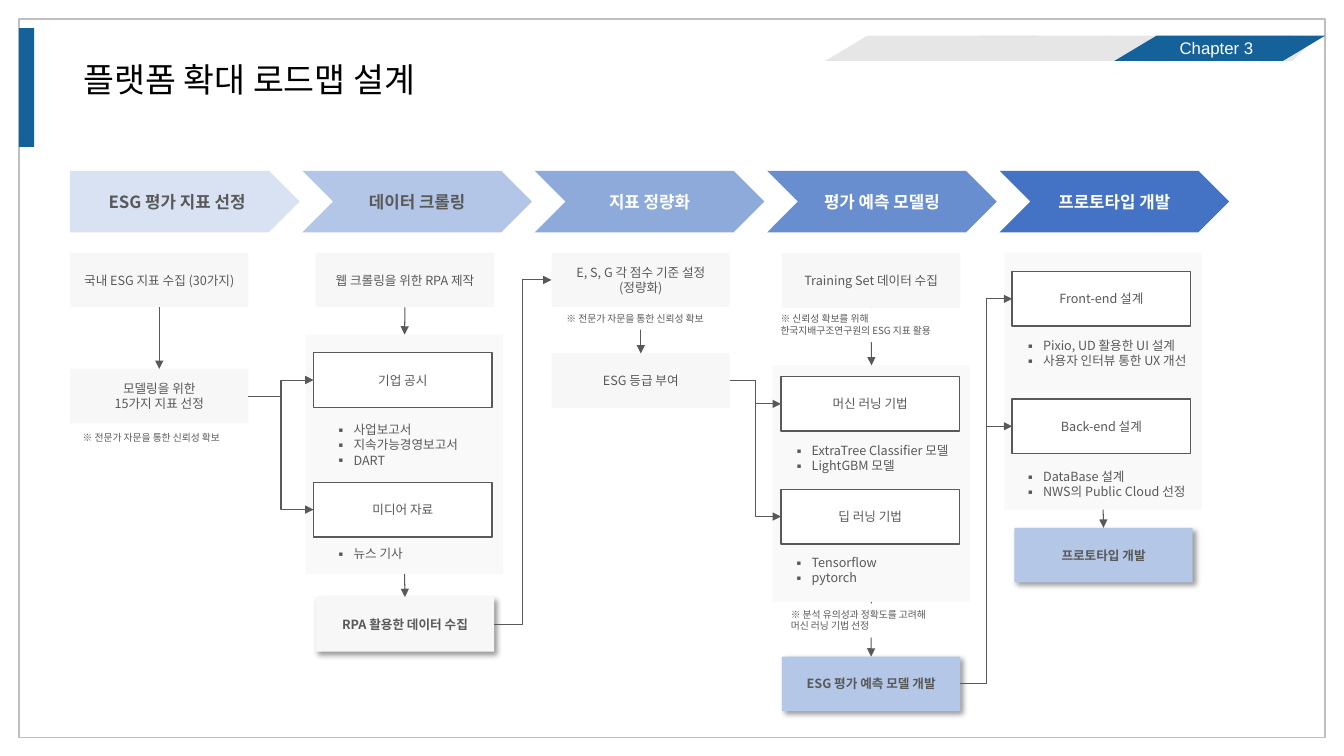
from dataclasses import dataclass

from lxml import etree
from pptx import Presentation
from pptx import util as u
from pptx.dml import color
from pptx.enum import shapes, text
from pptx.oxml import ns

Pt = u.Pt
SHAPE = shapes.MSO_SHAPE
ALIGN = text.PP_ALIGN
NODE_W, NODE_H, PANEL_W = 127.5, 39, 141
TOP, BOTTOM, LEFT, RIGHT = 0, 2, 1, 3


@dataclass(frozen=True)
class Theme:
    font: str = "Noto Sans CJK KR"
    tag_font: str = "Arial"
    ink: str = "595959"
    black: str = "000000"
    white: str = "FFFFFF"
    node: str = "F7F7F7"
    panel: str = "F9F9F9"
    result: str = "B4C7E7"
    stage: str = "4472C4"
    accent: str = "15619A"
    ribbon: str = "E7E6E6"
    frame: str = "BFBFBF"
    title: int = 24
    head: int = 12
    body: int = 9
    small: int = 7


T = Theme()


# ---- Basic parts ----
def child(parent, tag, **attrs):
    return etree.SubElement(parent, ns.qn(tag), attrs)


def write(sp, lines, *, size=T.body, ink=T.ink, bold=False, font=T.font,
          align=ALIGN.LEFT, anchor=text.MSO_ANCHOR.TOP, bullet=None, grow=False):
    tf = sp.text_frame
    tf.word_wrap = True
    tf.vertical_anchor = anchor
    if grow:
        tf.auto_size = text.MSO_AUTO_SIZE.SHAPE_TO_FIT_TEXT
    for i, line in enumerate([lines] if isinstance(lines, str) else lines):
        p = tf.paragraphs[0] if i == 0 else tf.add_paragraph()
        p.alignment = align
        if bullet:
            pPr = p._p.get_or_add_pPr()
            pPr.set("marL", str(Pt(13.5)))
            pPr.set("indent", str(-Pt(13.5)))
            child(child(pPr, "a:buClr"), "a:srgbClr", val=ink)
            child(pPr, "a:buFont", typeface=font)
            child(pPr, "a:buChar", char=bullet)
        r = p.add_run()
        r.text = line
        r.font.size, r.font.bold, r.font.name = Pt(size), bold, font
        r.font.color.rgb = color.RGBColor.from_string(ink)
        child(r._r.get_or_add_rPr(), "a:ea", typeface=font)


def add_box(sh, x, y, w, h, fill=None, line=None, kind=SHAPE.RECTANGLE, alpha=100):
    sp = sh.add_shape(kind, Pt(x), Pt(y), Pt(w), Pt(h))
    sp.shadow.inherit = False
    if fill:
        sp.fill.solid()
        sp.fill.fore_color.rgb = color.RGBColor.from_string(fill)
        if alpha < 100:
            clr = sp._element.spPr.find(".//" + ns.qn("a:srgbClr"))
            child(clr, "a:alpha", val=str(alpha * 1000))
    else:
        sp.fill.background()
    if line:
        sp.line.color.rgb = color.RGBColor.from_string(line)
        sp.line.width = Pt(1)
    else:
        sp.line.fill.background()
    return sp


def add_node(sh, x, y, lines, fill=T.node, line=None, bold=False):
    sp = add_box(sh, x, y, NODE_W, NODE_H, fill, line)
    write(sp, lines, bold=bold, align=ALIGN.CENTER, anchor=text.MSO_ANCHOR.MIDDLE)
    return sp


def add_method(sh, x, y, label):
    return add_node(sh, x, y, label, T.white, T.ink)


def add_result(sh, x, y, label, fill=T.result):
    sp = add_node(sh, x, y, label, fill, bold=True)
    effects = sp._element.spPr.find(ns.qn("a:effectLst"))
    shadow = child(effects, "a:outerShdw", blurRad=str(Pt(4)), dist=str(Pt(3)),
                   dir="2700000", algn="tl", rotWithShape="0")
    child(child(shadow, "a:srgbClr", val=T.black), "a:alpha", val="40000")
    return sp


def add_label(sh, x, y, w, h, lines, **fmt):
    tb = sh.add_textbox(Pt(x), Pt(y), Pt(w), Pt(h))
    write(tb, lines, grow=True, **fmt)


def add_bullets(sh, x, y, w, items):
    add_label(sh, x, y, w, 7 + 11 * len(items), items, bullet="▪")


def add_note(sh, x, y, w, h, line):
    write(add_box(sh, x, y, w, h, T.white), line, size=T.small, grow=True)


def join(sh, a, b, sides=(BOTTOM, TOP)):
    straight = sides == (BOTTOM, TOP)
    kind = shapes.MSO_CONNECTOR.STRAIGHT if straight else shapes.MSO_CONNECTOR.ELBOW
    c = sh.add_connector(kind, 0, 0, 0, 0)
    c.begin_connect(a, sides[0])
    c.end_connect(b, sides[1])
    c.line.color.rgb = color.RGBColor.from_string(T.ink)
    c.line.width = Pt(0.75)
    child(c.line._get_or_add_ln(), "a:tailEnd", type="triangle")
    child(c._element.spPr, "a:effectLst")


# ---- Header and frame ----
def frame_and_title(sh, x, y, w, h):
    add_box(sh, x, y, w, h, line=T.frame)
    add_box(sh, x, y + 6.5, 11, 85, T.accent)
    add_label(sh, x + 39, y + 25, 306, 36, "플랫폼 확대 로드맵 설계", size=T.title, ink=T.black)


def chapter_ribbon(sh, x, y, h):
    sh = sh.add_group_shape().shapes
    add_box(sh, x + 269, y, 73.5, h, T.ribbon, kind=SHAPE.PENTAGON)
    for dx, w, fill in ((88, 114.5, T.ribbon), (179, 114.5, T.ribbon),
                        (0, 150.5, T.ribbon), (206.5, 150.5, T.accent)):
        add_box(sh, x + dx, y, w, h, fill, kind=SHAPE.FLOWCHART_DATA)
    add_label(sh, x + 246, y - 2, 86.5, 21.5, "Chapter 3", size=T.head,
              ink=T.white, font=T.tag_font, align=ALIGN.JUSTIFY)


def stage_row(sh, x, y, w, h, step):
    names = ("ESG 평가 지표 선정", "데이터 크롤링", "지표 정량화", "평가 예측 모델링", "프로토타입 개발")
    for i, name in enumerate(names):
        kind = SHAPE.CHEVRON if i else SHAPE.PENTAGON
        sp = add_box(sh, x + i * step, y, w, h, T.stage, kind=kind, alpha=20 * (i + 1))
        write(sp, name, size=T.head, ink=T.ink if i < 2 else T.white, bold=True,
              align=ALIGN.CENTER, anchor=text.MSO_ANCHOR.MIDDLE)


# ---- Columns: each returns its (entry nodes, exit node) ----
def indicator_column(sh, x, y):
    collect = add_node(sh, x, y, "국내 ESG 지표 수집 (30가지)")
    choose = add_node(sh, x, y + 83, ["모델링을 위한", "15가지 지표 선정"])
    join(sh, collect, choose)
    add_label(sh, x + 2, y + 124, 120, 16, "※ 전문가 자문을 통한 신뢰성 확보", size=T.small)
    return [collect], choose


def crawling_column(sh, x, y):
    panel = add_box(sh, x - 7, y + 58.5, PANEL_W, 171, T.panel)
    rpa = add_node(sh, x, y, "웹 크롤링을 위한 RPA 제작")
    sources = [add_method(sh, x - 1.5, y + 71.5, "기업 공시"),
               add_method(sh, x - 1.5, y + 164, "미디어 자료")]
    add_bullets(sh, x + 6.5, y + 117.5, 105, ["사업보고서", "지속가능경영보고서", "DART"])
    add_bullets(sh, x + 6.5, y + 206, 66, ["뉴스 기사"])
    data = add_result(sh, x, y + 246, "RPA 활용한 데이터 수집", T.node)
    join(sh, rpa, panel)
    join(sh, panel, data)
    return sources, data


def scoring_column(sh, x, y):
    score = add_node(sh, x, y, "E, S, G 각 점수 기준 설정 (정량화)")
    grade = add_node(sh, x, y + 72, "ESG 등급 부여")
    join(sh, score, grade)
    add_note(sh, x + 3.5, y + 39, 120, 16, "※ 전문가 자문을 통한 신뢰성 확보")
    return [score], grade


def modeling_column(sh, x, y):
    panel = add_box(sh, x - 6.5, y + 80.5, PANEL_W, 169, T.panel)
    methods = [add_method(sh, x - 0.7, y + 88.5, "머신 러닝 기법"),
               add_method(sh, x - 0.7, y + 169, "딥 러닝 기법")]
    add_bullets(sh, x + 0.7, y + 132.5, 126, ["ExtraTree Classifier 모델", "LightGBM 모델"])
    add_bullets(sh, x + 0.7, y + 212.5, 75, ["Tensorflow", "pytorch"])
    training = add_node(sh, x, y + 0.5, "Training Set 데이터 수집")
    model = add_result(sh, x, y + 288.5, "ESG 평가 예측 모델 개발")
    join(sh, training, panel)
    join(sh, panel, model)
    add_note(sh, x - 8, y + 39.5, 139, 24.5, "※ 신뢰성 확보를 위해 한국지배구조연구원의 ESG 지표 활용")
    add_note(sh, x - 0.7, y + 250.5, 121, 24.5, "※ 분석 유의성과 정확도를 고려해 머신 러닝 기법 선정")
    return methods, model


def prototype_column(sh, x, y):
    panel = add_box(sh, x - 7, y, PANEL_W, 183.5, T.panel)
    ends = [add_method(sh, x - 1.5, y + 13.5, "Front-end 설계"),
            add_method(sh, x - 1.5, y + 104.5, "Back-end 설계")]
    add_bullets(sh, x, y + 57.5, 141, ["Pixio, UD 활용한 UI 설계", "사용자 인터뷰 통한 UX 개선"])
    add_bullets(sh, x, y + 151, 134, ["DataBase 설계", "NWS의 Public Cloud 선정"])
    prototype = add_result(sh, x, y + 196.5, "프로토타입 개발")
    join(sh, panel, prototype)
    return ends, prototype


def main():
    prs = Presentation()
    prs.slide_width, prs.slide_height = Pt(960), Pt(540)
    sh = prs.slides.add_slide(prs.slide_layouts[6]).shapes
    stage_row(sh, 50, 122, 164, 44, 166)
    columns = ((indicator_column, 50), (crawling_column, 225.5), (scoring_column, 394),
               (modeling_column, 558.5), (prototype_column, 724.5))
    previous = None
    for build, x in columns:
        entries, exit_node = build(sh, x, 180.5)
        for entry in entries if previous else ():
            join(sh, previous, entry, (RIGHT, LEFT))
        previous = exit_node
    frame_and_title(sh, 13.5, 13.5, 933, 513.5)
    chapter_ribbon(sh, 589.5, 25.5, 18)
    prs.save("out.pptx")


if __name__ == "__main__":
    main()
